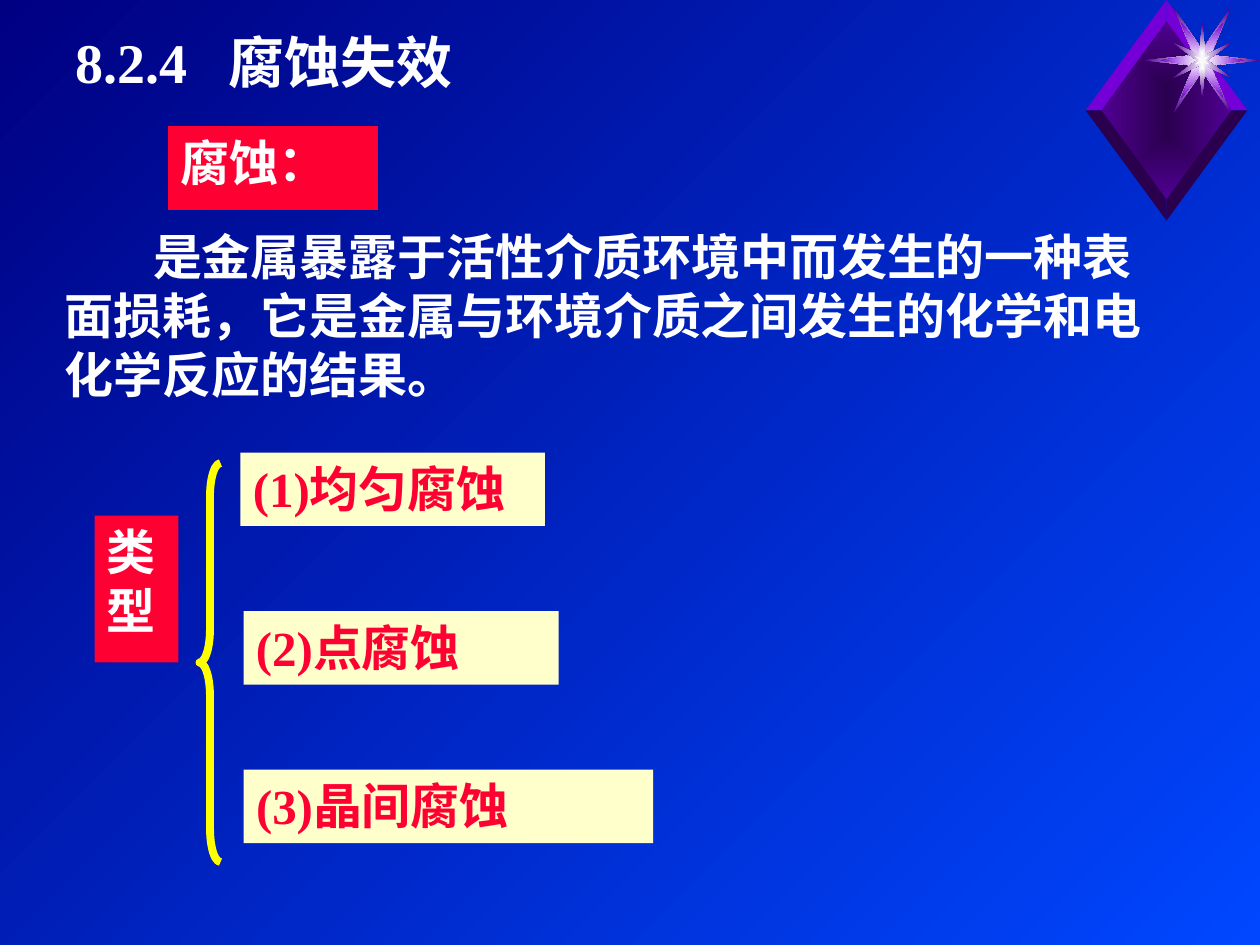
from lxml import etree
from pptx import Presentation
from pptx.dml.color import RGBColor
from pptx.enum.shapes import MSO_SHAPE
from pptx.enum.text import MSO_ANCHOR, MSO_AUTO_SIZE, PP_ALIGN
from pptx.oxml.ns import qn
from pptx.util import Inches, Pt

RECTANGLE = MSO_SHAPE.RECTANGLE
LEFT_BRACE = MSO_SHAPE.LEFT_BRACE
TOP = MSO_ANCHOR.TOP
NO_FIT = MSO_AUTO_SIZE.NONE
LEFT = PP_ALIGN.LEFT

UNITS_PER_INCH = 12
FONT = "Times New Roman"
COLORS = {
    "sky": "0047FF", "night": "000082", "white": "FFFFFF", "red": "FF0033",
    "cream": "FFFFCC", "yellow": "FFFF00", "violet": "7500D7",
    "plum": "500093", "dark plum": "2A004E", "core": "F9F9F9",
}
DIAMOND_CENTER = (111.1, 10.5)
STAR_CENTER = (114.5, 5.75)
STARS = [
    ([(5.5, 0), (0.8, 0.5), (2.7, 5), (0, 1)], ("white", "plum")),
    ([(4, 0), (0.8, 0.5), (2, 3.6), (0, 1)], ("white", "violet")),
    ([(0.5, 0), (2.8, 1.7), (0.3, 0.5), (0, 3.5)], ("white", "plum")),
    ([(0.25, 0), (0.7, 0.4), (0.1, 0.25), (0, 0.85)], ("core",)),
]
TYPES = [
    ("(1)均匀腐蚀", 22.9, 29),
    ("(2)点腐蚀", 23.2, 30),
    ("(3)晶间腐蚀", 23.2, 39),
]
TYPE_TOP, TYPE_STEP = 43.1, 15.1


def grid(units):
    return Inches(units / UNITS_PER_INCH)


def rgb(name):
    return RGBColor.from_string(COLORS[name])


def paint_gradient(fill, names):
    fill.gradient()
    for stop, name in zip(fill.gradient_stops, names):
        stop.color.rgb = rgb(name)


def paint_shape(shape, names):
    shape.shadow.inherit = False
    shape.line.fill.background()
    if len(names) == 1:
        shape.fill.solid()
        shape.fill.fore_color.rgb = rgb(names[0])
        return
    paint_gradient(shape.fill, names)
    gradient = shape._element.spPr.find(qn("a:gradFill"))
    linear = gradient.find(qn("a:lin"))
    center = etree.Element(qn("a:path"), path="rect")
    etree.SubElement(center, qn("a:fillToRect"), l="50000", t="50000", r="50000", b="50000")
    gradient.replace(linear, center)


def write(shape, text, color="white", size=28):
    frame = shape.text_frame
    frame.word_wrap = True
    frame.auto_size = NO_FIT
    frame.vertical_anchor = TOP
    para = frame.paragraphs[0]
    para.text = text
    para.alignment = LEFT
    return para, color, size


def style(para, color, size):
    para.font.name = FONT
    para.font.size = Pt(size)
    para.font.bold = True
    para.font.color.rgb = rgb(color)


def add_title(page, text, tab):
    title = page.shapes.title
    title.left, title.top, title.width, title.height = map(grid, (6, 2, 50, 9))
    para, color, size = write(title, text, size=32)
    stops = etree.SubElement(para._p.get_or_add_pPr(), qn("a:tabLst"))
    etree.SubElement(stops, qn("a:tab"), pos=str(grid(tab)), algn="l")
    style(para, color, size)


def add_body(page, text, area, indent):
    box = page.shapes.add_textbox(*map(grid, area))
    para, color, size = write(box, text)
    properties = para._p.get_or_add_pPr()
    properties.set("marL", "0")
    properties.set("indent", str(grid(indent)))
    style(para, color, size)


def add_label(page, text, area, fill, color):
    label = page.shapes.add_shape(RECTANGLE, *map(grid, area))
    paint_shape(label, (fill,))
    style(*write(label, text, color))


def add_brace(page, area):
    brace = page.shapes.add_shape(LEFT_BRACE, *map(grid, area))
    brace.shadow.inherit = False
    brace.fill.background()
    brace.line.color.rgb = rgb("yellow")
    brace.line.width = Pt(4.5)
    brace.adjustments[0] = 1.58
    brace.adjustments[1] = 0.5


def add_polygon(page, center, offsets, names):
    points = [(grid(center[0] + x), grid(center[1] + y)) for x, y in offsets]
    builder = page.shapes.build_freeform(*points[0])
    builder.add_line_segments(points[1:], close=True)
    paint_shape(builder.convert_to_shape(), names)


def add_diamond(page):
    outer_x, outer_y, inner_x, inner_y = 7.7, 10.5, 6.2, 8.5
    face = [(0, -inner_y), (-inner_x, 0), (0, inner_y), (inner_x, 0)]
    add_polygon(page, DIAMOND_CENTER, face, ("dark plum", "plum"))
    for down, name in ((-1, "violet"), (1, "dark plum")):
        for side in (1, -1):
            facet = [(0, down * inner_y), (0, down * outer_y),
                     (side * outer_x, 0), (side * inner_x, 0)]
            add_polygon(page, DIAMOND_CENTER, facet, (name,))


def add_star(page, quadrant, names):
    half = quadrant + [(-x, y) for x, y in quadrant[-2::-1]]
    whole = half + [(-x, -y) for x, y in half[1:-1]]
    add_polygon(page, STAR_CENTER, whole, names)


def main():
    deck = Presentation()
    deck.slide_width, deck.slide_height = grid(120), grid(90)
    page = deck.slides.add_slide(deck.slide_layouts.get_by_name("Title Only"))
    background = page.background.fill
    paint_gradient(background, ("sky", "night"))
    background.gradient_angle = 135

    add_diamond(page)
    for quadrant, names in STARS:
        add_star(page, quadrant, names)

    add_title(page, "8.2.4\t腐蚀失效", 14.6)
    add_body(page, "是金属暴露于活性介质环境中而发生的一种表面损耗，它是金属与环境介质之间发生的化学和电化学反应的结果。",
             (5, 21, 106, 19), 8.4)
    add_label(page, "类型", (9, 49.1, 8, 14), "red", "white")
    add_brace(page, (19, 44.1, 2, 38))
    for row, (text, left, width) in enumerate(TYPES):
        add_label(page, text, (left, TYPE_TOP + row * TYPE_STEP, width, 7), "cream", "red")
    add_label(page, "腐蚀：", (16, 12, 20, 8), "red", "white")
    deck.save("out.pptx")


if __name__ == "__main__":
    main()
